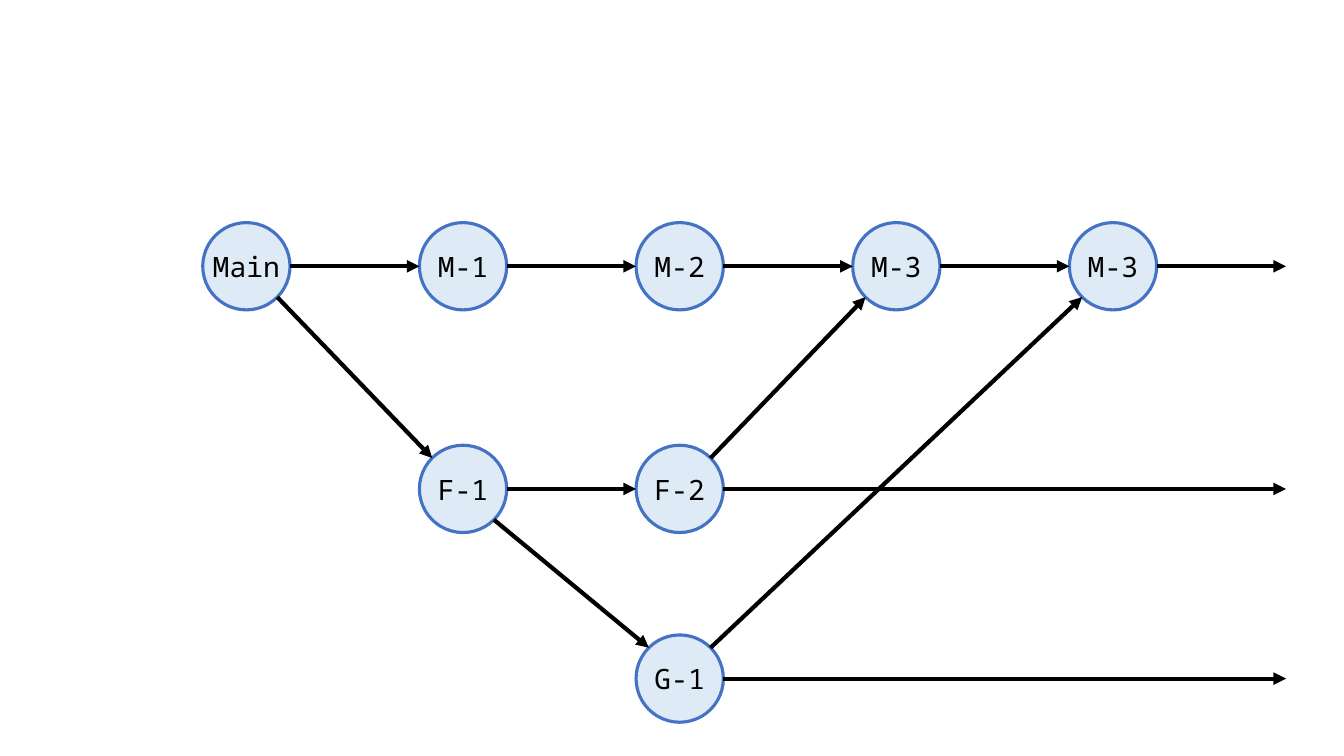
from math import sqrt

from lxml import etree
from pptx import Presentation
from pptx.dml.color import RGBColor
from pptx.enum import shapes, text
from pptx.oxml import ns
from pptx.util import Cm, Pt

DIAMETER = 2.2
RADIUS = DIAMETER / 2
FIRST_COLUMN, COLUMN_STEP = 6.21, 5.46
ROWS = {"main": 6.71, "f": 12.32, "g": 17.1}
EXIT_X = FIRST_COLUMN + 5 * COLUMN_STEP - RADIUS


def color(hex_string):
    """Return the RGB colour for a hex string."""
    return RGBColor.from_string(hex_string)


def add_arrow(slide, start, end):
    """Draw a black arrow between two points given in centimetres."""
    arrow = slide.shapes.add_connector(
        shapes.MSO_CONNECTOR.STRAIGHT, *(Cm(value) for value in start + end))
    arrow.line.color.rgb = color("000000")
    arrow.line.width = Pt(3)
    line = arrow.line._get_or_add_ln()
    etree.SubElement(line, ns.qn("a:tailEnd"), type="triangle")
    etree.SubElement(arrow._element.spPr, ns.qn("a:effectLst"))


presentation = Presentation()
presentation.slide_width = Cm(33.87)
presentation.slide_height = Cm(19.05)
slide = presentation.slides.add_slide(presentation.slide_layouts[6])

# Commits: key, label, column, row
commits = [
    ("main", "Main", 0, "main"), ("m1", "M-1", 1, "main"),
    ("m2", "M-2", 2, "main"), ("m3", "M-3", 3, "main"),
    ("last", "M-3", 4, "main"),
    ("f1", "F-1", 1, "f"), ("f2", "F-2", 2, "f"),
    ("g1", "G-1", 2, "g"),
]
centers = {}
for key, label, column, row in commits:
    x, y = FIRST_COLUMN + column * COLUMN_STEP, ROWS[row]
    centers[key] = (x, y)
    circle = slide.shapes.add_shape(
        shapes.MSO_SHAPE.OVAL, Cm(x - RADIUS), Cm(y - RADIUS),
        Cm(DIAMETER), Cm(DIAMETER))
    circle.shadow.inherit = False
    circle.fill.solid()
    circle.fill.fore_color.rgb = color("DEEBF7")
    circle.line.color.rgb = color("4472C4")
    circle.line.width = Pt(2.25)
    frame = circle.text_frame
    frame.word_wrap = False
    frame.vertical_anchor = text.MSO_ANCHOR.MIDDLE
    frame.margin_left = frame.margin_right = 0
    frame.margin_top = frame.margin_bottom = 0
    paragraph = frame.paragraphs[0]
    paragraph.text = label
    paragraph.alignment = text.PP_ALIGN.CENTER
    paragraph.font.name = "Noto Sans Mono"
    paragraph.font.size = Pt(20)
    paragraph.font.color.rgb = color("000000")

# Arrows within a row join the sides of the circles
for source, target in [("main", "m1"), ("m1", "m2"), ("m2", "m3"),
                       ("m3", "last"), ("f1", "f2")]:
    (x1, y1), (x2, y2) = centers[source], centers[target]
    add_arrow(slide, (x1 + RADIUS, y1), (x2 - RADIUS, y2))

# Arrows between rows join the circles at 45 degrees
diagonal = RADIUS / sqrt(2)
for source, target in [("main", "f1"), ("f2", "m3"),
                       ("f1", "g1"), ("g1", "last")]:
    (x1, y1), (x2, y2) = centers[source], centers[target]
    rise = diagonal if y2 > y1 else -diagonal
    add_arrow(slide, (x1 + diagonal, y1 + rise), (x2 - diagonal, y2 - rise))

# Each branch continues to the right edge
for source in ("last", "f2", "g1"):
    x, y = centers[source]
    add_arrow(slide, (x + RADIUS, y), (EXIT_X, y))

presentation.save("out.pptx")
